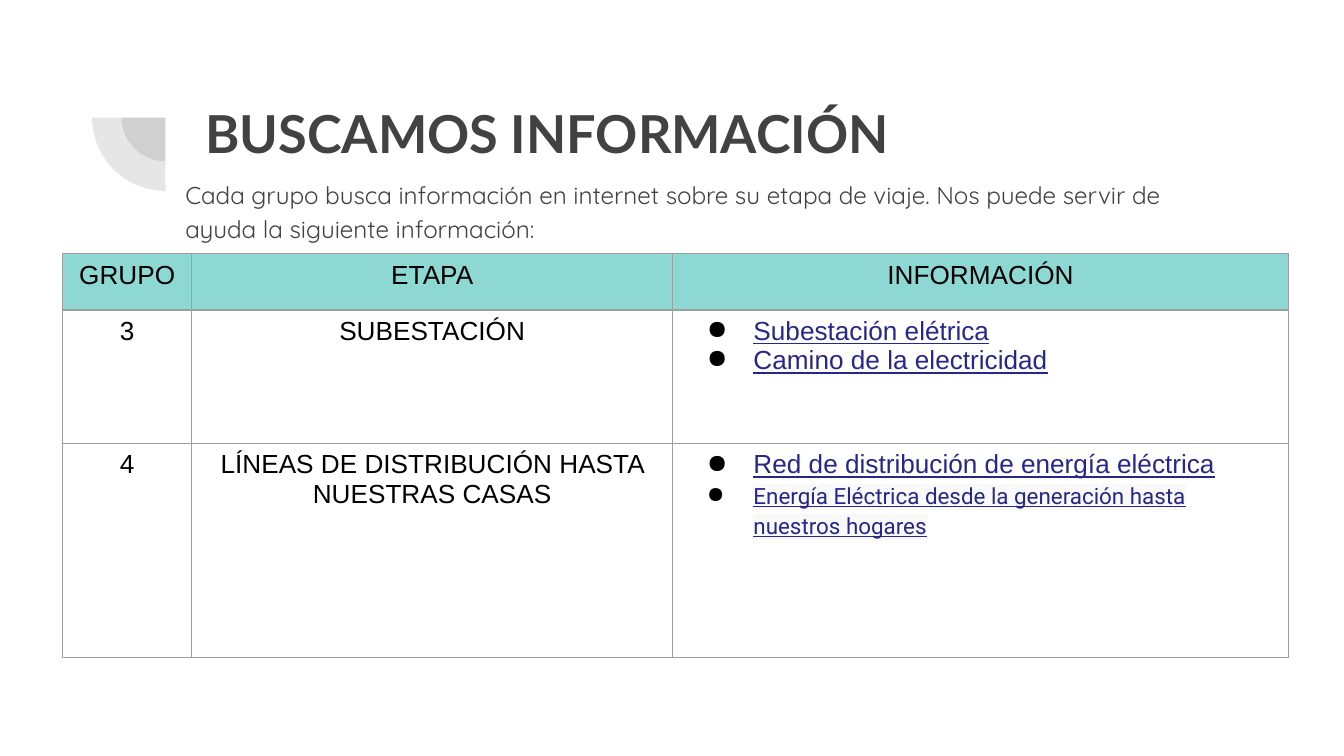
"""Build the research slide: a title, an introduction and a table of groups."""
import pptx
import pptx.dml.color
import pptx.enum.shapes
import pptx.enum.text
import pptx.oxml
import pptx.oxml.ns
import pptx.util

Pt = pptx.util.Pt
DARK, BLACK, LINK = "424242", "000000", "27278B"
HEADER, BORDER, HIGHLIGHT = "8DD8D3", "9E9E9E", "F9F9F9"


def rgb(value):
    return pptx.dml.color.RGBColor.from_string(value)


def xml(tag, inner="", attrs=""):
    ns = pptx.oxml.ns.nsdecls("a")
    return pptx.oxml.parse_xml(f"<a:{tag} {ns} {attrs}>{inner}</a:{tag}>")


def color_xml(value):
    return f'<a:srgbClr val="{value}"/>'


def write(p, text, size, font, color, bold=False):
    r = p.add_run()
    r.text = text
    p.font.size = Pt(size)
    p.font.name = font
    p.font.bold = bold
    p.font.color.rgb = rgb(color)
    return r


def add_text(slide, box, text, size, font, bold=False):
    tf = slide.shapes.add_textbox(*map(Pt, box)).text_frame
    tf.word_wrap = True
    tf.margin_left = tf.margin_right = tf.margin_top = tf.margin_bottom = Pt(7.2)
    p = tf.paragraphs[0]
    write(p, text, size, font, DARK, bold)
    return p


def add_quarter(slide, cx, cy, size):
    box = (cx - size / 2, cy - size / 2, size, size)
    sp = slide.shapes.add_shape(pptx.enum.shapes.MSO_SHAPE.PIE, *map(Pt, box))
    sp.adjustments[0], sp.adjustments[1] = 107.93, 162
    sp.rotation = 270
    sp.shadow.inherit = False
    sp.line.fill.background()
    sp.fill.solid()
    sp.fill.fore_color.rgb = rgb(DARK)
    clr = sp._element.spPr.find(".//" + pptx.oxml.ns.qn("a:srgbClr"))
    clr.append(xml("alpha", attrs='val="13000"'))


def add_borders(cell):
    tcPr = cell._tc.get_or_add_tcPr()
    fill = f"<a:solidFill>{color_xml(BORDER)}</a:solidFill>"
    for i, side in enumerate(("lnL", "lnR", "lnT", "lnB")):
        tcPr.insert(i, xml(side, fill, f'w="{Pt(0.75)}"'))


def add_link(p, text, size=14, font="Arial", spacing=None, highlight=None):
    r = write(p, text, size, font, LINK)
    p.font.underline = True
    if spacing:
        p.line_spacing = spacing
    if highlight:
        r._r.get_or_add_rPr().append(xml("highlight", color_xml(highlight)))
    pPr = p._p.get_or_add_pPr()
    pPr.set("marL", str(Pt(36)))
    pPr.set("indent", str(-Pt(25)))
    bullet = (xml("buClr", color_xml(BLACK)), xml("buChar", attrs='char="●"'))
    defRPr = pPr.find(pptx.oxml.ns.qn("a:defRPr"))
    for element in bullet:
        defRPr.addprevious(element)


def fill_cell(cell, content):
    tf = cell.text_frame
    if isinstance(content, str):
        p = tf.paragraphs[0]
        p.alignment = pptx.enum.text.PP_ALIGN.CENTER
        write(p, content, 14, "Arial", BLACK)
        return
    for i, link in enumerate(content):
        add_link(tf.add_paragraph() if i else tf.paragraphs[0], **link)


def add_table(slide, left, top, widths, heights, rows):
    box = (left, top, sum(widths), sum(heights))
    frame = slide.shapes.add_table(len(rows), len(widths), *map(Pt, box))
    table = frame.table
    for column, width in zip(table.columns, widths):
        column.width = Pt(width)
    for i, (row, height, contents) in enumerate(zip(table.rows, heights, rows)):
        row.height = Pt(height)
        for cell, content in zip(row.cells, contents):
            cell.margin_left = cell.margin_right = Pt(7.2)
            cell.margin_top = cell.margin_bottom = Pt(3.6)
            if i == 0:
                cell.fill.solid()
                cell.fill.fore_color.rgb = rgb(HEADER)
            else:
                cell.fill.background()
            add_borders(cell)
            fill_cell(cell, content)


def main():
    prs = pptx.Presentation()
    prs.slide_width, prs.slide_height = Pt(720), Pt(405)
    slide = prs.slides.add_slide(prs.slide_layouts[6])

    for size in (46.8, 78.5):
        add_quarter(slide, 88.6, 63, size)
    add_text(slide, (103, 46.8, 553.7, 78.5), "BUSCAMOS INFORMACIÓN", 28, "Lato", True)
    intro = add_text(
        slide, (92.2, 87.1, 568, 43.2),
        "Cada grupo busca información en internet sobre su etapa de viaje. "
        "Nos puede servir de ayuda la siguiente información:", 13, "Quicksand")
    intro.line_spacing = 1.15
    intro.space_after = Pt(16)

    rows = [
        ("GRUPO", "ETAPA", "INFORMACIÓN"),
        ("3", "SUBESTACIÓN", [
            dict(text="Subestación elétrica"),
            dict(text="Camino de la electricidad")]),
        ("4", "LÍNEAS DE DISTRIBUCIÓN HASTA NUESTRAS CASAS", [
            dict(text="Red de distribución de energía eléctrica"),
            dict(text="Energía Eléctrica desde la generación hasta nuestros hogares",
                 size=12, font="Roboto", spacing=1.15, highlight=HIGHLIGHT)]),
    ]
    add_table(slide, 33.6, 135.9, (69.1, 257.8, 329.8), (30.2, 71.5, 114.5), rows)
    prs.save("out.pptx")


if __name__ == "__main__":
    main()
